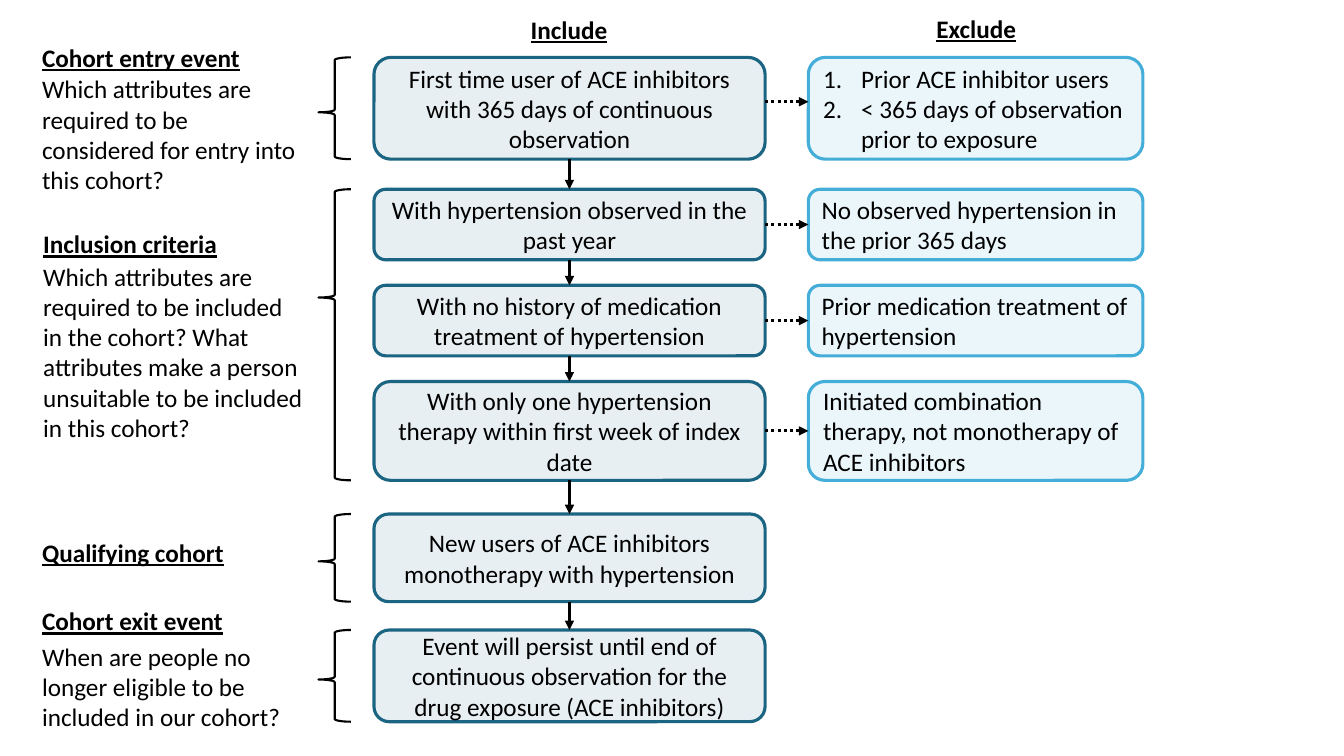
"""Draw a cohort definition flow with its include and exclude steps."""
from dataclasses import dataclass
from typing import Optional

from lxml.etree import SubElement
from pptx import Presentation
from pptx.dml.color import RGBColor as Rgb
from pptx.enum.dml import MSO_LINE as Dash
from pptx.enum.shapes import MSO_CONNECTOR as Link, MSO_SHAPE as Form
from pptx.enum.text import MSO_ANCHOR as Anchor, MSO_AUTO_SIZE as Fit, PP_ALIGN as Align
from pptx.oxml.ns import qn
from pptx.shapes.autoshape import Shape
from pptx.shapes.connector import Connector
from pptx.slide import Slide
from pptx.text.text import TextFrame
from pptx.util import Pt


@dataclass(frozen=True)
class Theme:
    ink: Rgb = Rgb(0x00, 0x00, 0x00)
    teal: Rgb = Rgb(0x1B, 0x65, 0x83)
    sky: Rgb = Rgb(0x44, 0xAE, 0xD8)
    font: str = "Calibri"
    size: float = 18
    edge: float = 2.25
    thin: float = 1.5
    alpha: str = "10000"


@dataclass(frozen=True)
class Lane:
    left: float
    width: float
    color: Rgb
    align: Align


@dataclass(frozen=True)
class Row:
    top: float
    height: float
    include: str
    exclude: tuple[str, ...] = ()
    cross: Optional[float] = None


@dataclass(frozen=True)
class Note:
    text: str
    left: float
    top: float
    width: float
    height: float = 29
    head: bool = True
    align: Align = Align.LEFT


@dataclass(frozen=True)
class Brace:
    first: int
    last: int
    point: float = 0.54


THEME = Theme()
INCLUDE = Lane(267.1, 279.4, THEME.teal, Align.CENTER)
EXCLUDE = Lane(577.4, 239, THEME.sky, Align.LEFT)
INDENT = 27
BRACE_LEFT, BRACE_WIDTH = 227.5, 23.2

ROWS = (
    Row(41, 72.7, "First time user of ACE inhibitors with 365 days of continuous observation",
        ("Prior ACE inhibitor users", "< 365 days of observation prior to exposure"), 72.7),
    Row(135.2, 50.4, "With hypertension observed in the past year",
        ("No observed hypertension in the prior 365 days",)),
    Row(203.8, 50.4, "With no history of medication treatment of hypertension",
        ("Prior medication treatment of hypertension",)),
    Row(272.5, 70.6, "With only one hypertension therapy within first week of index date",
        ("Initiated combination therapy, not monotherapy of ACE inhibitors",)),
    Row(367.2, 62.6, "New users of ACE inhibitors monotherapy with hypertension"),
    Row(450, 65.5, "Event will persist until end of continuous observation "
        "for the drug exposure (ACE inhibitors)"),
)
NOTES = (
    Note("Include", 312.5, 6.5, 188, align=Align.CENTER),
    Note("Exclude", 603.4, 5.8, 188, align=Align.CENTER),
    Note("Cohort entry event", 23, 26.6, 219),
    Note("Which attributes are required to be considered for entry into this cohort?",
         23, 49, 200, 94.3, False),
    Note("Inclusion criteria", 23.8, 159.8, 219),
    Note("Which attributes are required to be included in the cohort? "
         "What attributes make a person unsuitable to be included in this cohort?",
         23.8, 182.9, 200, 138.2, False),
    Note("Qualifying cohort", 23, 380.2, 219),
    Note("Cohort exit event", 23, 429.1, 219),
    Note("When are people no longer eligible to be included in our cohort?",
         23, 454.3, 206, 72.7, False),
)
BRACES = (Brace(0, 0), Brace(1, 3, 0.372), Brace(4, 4), Brace(5, 5))


def write(frame: TextFrame, lines: tuple[str, ...], align: Align, head: bool = False) -> None:
    """Write each line as a paragraph, with numbers when there are several."""
    frame.word_wrap = True
    for i, line in enumerate(lines):
        para = frame.paragraphs[0] if i == 0 else frame.add_paragraph()
        para.alignment = align
        if len(lines) > 1:
            props = para._p.get_or_add_pPr()
            props.set("marL", str(Pt(INDENT)))
            props.set("indent", str(-Pt(INDENT)))
            SubElement(props, qn("a:buFont"), typeface="+mj-lt")
            SubElement(props, qn("a:buAutoNum"), type="arabicPeriod")
        run = para.add_run()
        run.text = line
        font = run.font
        font.name, font.size = THEME.font, Pt(THEME.size)
        font.color.rgb = THEME.ink
        if head:
            font.bold = font.underline = True


def add_box(slide: Slide, lane: Lane, row: Row, lines: tuple[str, ...]) -> Shape:
    """Add one rounded step box in a lane."""
    box = slide.shapes.add_shape(Form.ROUNDED_RECTANGLE, Pt(lane.left), Pt(row.top),
                                 Pt(lane.width), Pt(row.height))
    box.shadow.inherit = False
    box.fill.solid()
    box.fill.fore_color.rgb = lane.color
    tint = box.element.spPr.find(qn("a:solidFill"))[0]
    SubElement(tint, qn("a:alpha"), val=THEME.alpha)
    box.line.color.rgb = lane.color
    box.line.width = Pt(THEME.edge)
    box.text_frame.vertical_anchor = Anchor.MIDDLE
    write(box.text_frame, lines, lane.align)
    return box


def add_arrow(slide: Slide, y: float = 0, dots: bool = False) -> Connector:
    """Add an arrow across the lanes at a given height."""
    start = INCLUDE.left + INCLUDE.width
    arrow = slide.shapes.add_connector(Link.STRAIGHT, Pt(start), Pt(y), Pt(EXCLUDE.left), Pt(y))
    arrow.line.color.rgb = THEME.ink
    arrow.line.width = Pt(THEME.edge)
    if dots:
        arrow.line.dash_style = Dash.ROUND_DOT
    SubElement(arrow.get_or_add_ln(), qn("a:tailEnd"), type="triangle")
    SubElement(arrow.element.spPr, qn("a:effectLst"))
    return arrow


def join(arrow: Connector, start: Shape, out: int, end: Shape, into: int) -> None:
    """Join an arrow to the sides of two boxes."""
    arrow.begin_connect(start, out)
    arrow.end_connect(end, into)


def add_note(slide: Slide, note: Note) -> None:
    """Add a heading or a question."""
    box = slide.shapes.add_textbox(Pt(note.left), Pt(note.top), Pt(note.width), Pt(note.height))
    write(box.text_frame, (note.text,), note.align, note.head)
    box.text_frame.auto_size = Fit.SHAPE_TO_FIT_TEXT


def add_brace(slide: Slide, brace: Brace) -> None:
    """Add a brace that spans a range of rows."""
    top, last = ROWS[brace.first].top, ROWS[brace.last]
    shape = slide.shapes.add_shape(Form.LEFT_BRACE, Pt(BRACE_LEFT), Pt(top),
                                   Pt(BRACE_WIDTH), Pt(last.top + last.height - top))
    shape.shadow.inherit = False
    shape.adjustments[0], shape.adjustments[1] = 0.083, brace.point
    shape.fill.background()
    shape.line.color.rgb = THEME.ink
    shape.line.width = Pt(THEME.thin)


def main() -> None:
    """Build and save the slide."""
    deck = Presentation()
    deck.slide_width, deck.slide_height = Pt(960), Pt(540)
    slide = deck.slides.add_slide(deck.slide_layouts[6])
    steps = [add_box(slide, INCLUDE, row, (row.include,)) for row in ROWS]
    for upper, lower in zip(steps, steps[1:]):
        join(add_arrow(slide), upper, 2, lower, 0)
    for row, step in zip(ROWS, steps):
        if not row.exclude:
            continue
        side = add_box(slide, EXCLUDE, row, row.exclude)
        if row.cross is None:
            join(add_arrow(slide, dots=True), step, 3, side, 1)
        else:
            add_arrow(slide, row.cross, dots=True)
    for note in NOTES:
        add_note(slide, note)
    for brace in BRACES:
        add_brace(slide, brace)
    deck.save("out.pptx")


if __name__ == "__main__":
    main()
